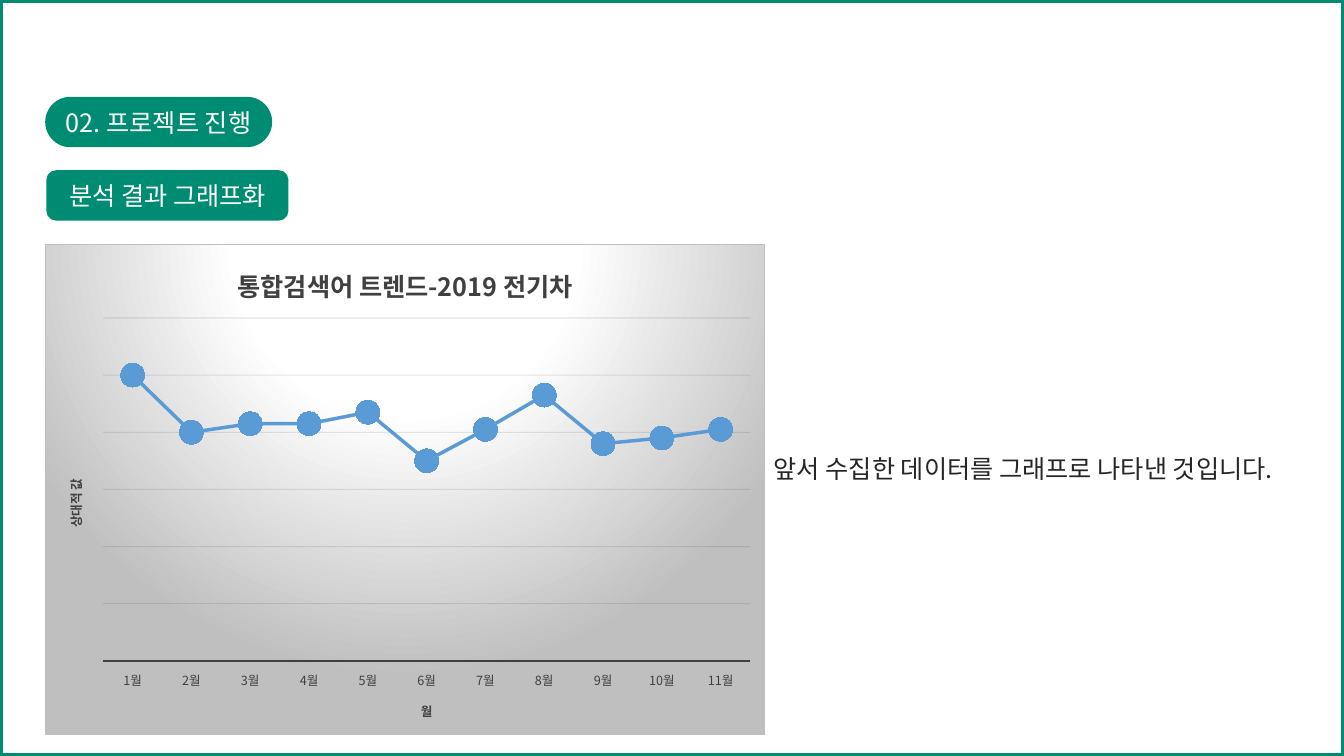
from dataclasses import dataclass
from typing import Any

from lxml.etree import SubElement
from pptx import Presentation
from pptx.chart.data import CategoryChartData
from pptx.dml.color import RGBColor as Rgb
from pptx.enum.chart import XL_CHART_TYPE as ChartType
from pptx.enum.chart import XL_MARKER_STYLE as MarkerStyle
from pptx.enum.chart import XL_TICK_LABEL_POSITION as LabelPosition
from pptx.enum.chart import XL_TICK_MARK as TickMark
from pptx.enum.shapes import MSO_SHAPE as Shape
from pptx.enum.text import MSO_ANCHOR as Anchor
from pptx.enum.text import PP_ALIGN as Align
from pptx.oxml import parse_xml
from pptx.oxml.ns import nsdecls, qn
from pptx.util import Cm, Pt


@dataclass(frozen=True)
class Theme:
    font: str = "Noto Sans CJK KR"
    green: Rgb = Rgb(0x00, 0x8C, 0x72)
    white: Rgb = Rgb(0xFF, 0xFF, 0xFF)
    body: Rgb = Rgb(0x26, 0x26, 0x26)
    axis: Rgb = Rgb(0x40, 0x40, 0x40)
    grid: Rgb = Rgb(0x0D, 0x0D, 0x0D)
    blue: Rgb = Rgb(0x5B, 0x9B, 0xD5)
    silver: Rgb = Rgb(0xBF, 0xBF, 0xBF)
    heading_size: Pt = Pt(18)
    label_size: Pt = Pt(9)


@dataclass(frozen=True)
class Badge:
    text: str
    left: float
    top: float
    width: float
    roundness: float


THEME = Theme()
BADGE_HEIGHT = Cm(1.27)
BADGES = (
    Badge("02. 프로젝트 진행", 1.14, 2.44, 5.72, 0.5),
    Badge("분석 결과 그래프화", 1.17, 4.29, 6.1, 0.19),
)
TREND = (100, 80, 83, 83, 87, 70, 81, 93, 76, 78, 81)


def apply_format(target: Any, values: dict[str, Any]) -> None:
    for name, value in values.items():
        setattr(target, name, value)


def style_font(font: Any, size: Pt, color: Rgb, bold: bool = False) -> None:
    apply_format(font, {"name": THEME.font, "size": size, "bold": bold})
    font.color.rgb = color


def style_line(line: Any, color: Rgb, width: float) -> None:
    line.color.rgb = color
    line.width = Pt(width)


def write_line(frame: Any, text: str, color: Rgb, align: Align) -> None:
    apply_format(frame, {"word_wrap": False, "vertical_anchor": Anchor.MIDDLE})
    paragraph = frame.paragraphs[0]
    apply_format(paragraph, {"text": text, "alignment": align})
    style_font(paragraph.runs[0].font, THEME.heading_size, color)


def write_chart_title(title: Any, text: str, size: Pt) -> None:
    title.text_frame.text = text
    style_font(title.text_frame.paragraphs[0].runs[0].font, size, THEME.axis, True)


def add_frame(slide: Any, width: Cm, height: Cm) -> None:
    frame = slide.shapes.add_shape(Shape.RECTANGLE, 0, 0, width, height)
    frame.shadow.inherit = False
    frame.fill.background()
    style_line(frame.line, THEME.green, 4.5)


def add_badge(slide: Any, badge: Badge) -> None:
    pill = slide.shapes.add_shape(
        Shape.ROUNDED_RECTANGLE, Cm(badge.left), Cm(badge.top), Cm(badge.width), BADGE_HEIGHT
    )
    pill.adjustments[0] = badge.roundness
    pill.shadow.inherit = False
    pill.fill.solid()
    pill.fill.fore_color.rgb = THEME.green
    pill.line.fill.background()
    write_line(pill.text_frame, badge.text, THEME.white, Align.CENTER)


def add_caption(slide: Any) -> None:
    caption = slide.shapes.add_textbox(Cm(19.25), Cm(11.3), Cm(14.61), Cm(1.03))
    write_line(
        caption.text_frame, "앞서 수집한 데이터를 그래프로 나타낸 것입니다.", THEME.body, Align.LEFT
    )


def shade_chart(chart: Any) -> None:
    """Give the chart area a radial gradient centred above its top edge."""
    stops = "".join(
        f'<a:gs pos="{percent * 1000}"><a:srgbClr val="{color}"/></a:gs>'
        for percent, color in ((0, THEME.white), (39, THEME.white), (100, THEME.silver))
    )
    area = parse_xml(
        f'<c:spPr {nsdecls("c", "a")}><a:gradFill><a:gsLst>{stops}</a:gsLst>'
        '<a:path path="circle"><a:fillToRect l="50000" t="-80000" r="50000" b="180000"/>'
        f'</a:path></a:gradFill><a:ln w="{Pt(0.75)}"><a:solidFill>'
        f'<a:srgbClr val="{THEME.silver}"/></a:solidFill></a:ln></c:spPr>'
    )
    chart.element.find(qn("c:chart")).addnext(area)


def place_plot(chart: Any) -> None:
    """Fix the inner plot area as fractions of the chart."""
    plot_area = next(chart.element.iter(qn("c:plotArea")))
    for old in plot_area.findall(qn("c:layout")):
        plot_area.remove(old)
    layout = parse_xml(f'<c:layout {nsdecls("c")}><c:manualLayout/></c:layout>')
    settings = {
        "layoutTarget": "inner", "xMode": "edge", "yMode": "edge",
        "x": 0.08, "y": 0.15, "w": 0.9, "h": 0.7,
    }
    for name, value in settings.items():
        SubElement(layout[0], qn(f"c:{name}")).set("val", str(value))
    plot_area.insert(0, layout)


def style_axes(chart: Any) -> None:
    months, values = chart.category_axis, chart.value_axis
    apply_format(months, {
        "major_tick_mark": TickMark.NONE,
        "minor_tick_mark": TickMark.NONE,
        "tick_label_position": LabelPosition.LOW,
    })
    style_font(months.tick_labels.font, THEME.label_size, THEME.axis)
    style_line(months.format.line, THEME.axis, 1.5)
    apply_format(values, {
        "minimum_scale": 0, "maximum_scale": 120, "major_unit": 20,
        "has_major_gridlines": True, "visible": False,
    })
    style_line(values.major_gridlines.format.line, THEME.grid, 0.75)
    gridlines = next(chart.element.iter(qn("c:majorGridlines")))
    SubElement(next(gridlines.iter(qn("a:srgbClr"))), qn("a:alpha")).set("val", "10000")
    for axis, text in ((months, "월"), (values, "상대적 값")):
        write_chart_title(axis.axis_title, text, THEME.label_size)
    next(values.axis_title.element.iter(qn("a:bodyPr"))).set("rot", "-5400000")


def add_trend_chart(slide: Any) -> Any:
    data = CategoryChartData()
    data.categories = [f"{month}월" for month in range(1, len(TREND) + 1)]
    data.add_series("Series 1", TREND)
    chart = slide.shapes.add_chart(
        ChartType.LINE_MARKERS, Cm(1.14), Cm(6.15), Cm(18.14), Cm(12.37), data
    ).chart
    apply_format(chart, {"has_legend": False, "has_title": True})
    style_font(chart.font, Pt(10), Rgb(0, 0, 0))
    write_chart_title(chart.chart_title, "통합검색어 트렌드-2019 전기차", THEME.heading_size)
    style_axes(chart)
    chart.plots[0].vary_by_categories = False
    series = chart.plots[0].series[0]
    series.smooth = False
    style_line(series.format.line, THEME.blue, 2.5)
    apply_format(series.marker, {"style": MarkerStyle.CIRCLE, "size": 17})
    series.marker.format.fill.solid()
    series.marker.format.fill.fore_color.rgb = THEME.blue
    series.marker.format.line.fill.background()
    shade_chart(chart)
    place_plot(chart)
    return chart


def set_east_asian_font(root: Any) -> None:
    """Let Korean glyphs use the same typeface as Latin ones."""
    for latin in list(root.iter(qn("a:latin"))):
        latin.addnext(parse_xml(f'<a:ea {nsdecls("a")} typeface="{THEME.font}"/>'))


def main() -> None:
    deck = Presentation()
    apply_format(deck, {"slide_width": Cm(33.87), "slide_height": Cm(19.05)})
    slide = deck.slides.add_slide(deck.slide_layouts[6])
    add_frame(slide, deck.slide_width, deck.slide_height)
    for badge in BADGES:
        add_badge(slide, badge)
    add_caption(slide)
    chart = add_trend_chart(slide)
    for root in (slide.element, chart.element):
        set_east_asian_font(root)
    deck.save("out.pptx")


if __name__ == "__main__":
    main()
